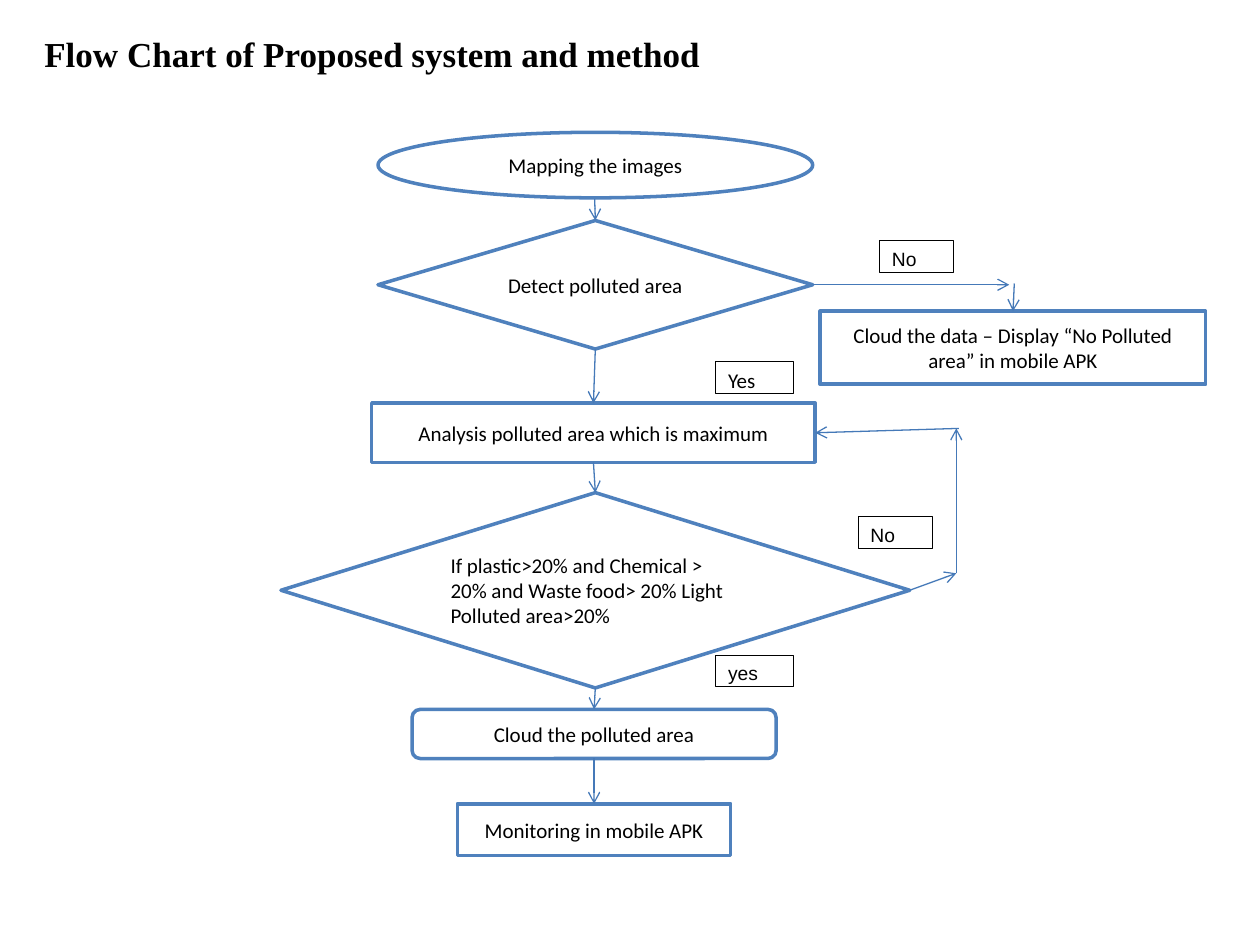
from lxml import etree
from pptx import Presentation
from pptx.dml.color import RGBColor
from pptx.enum import shapes, text
from pptx.oxml.ns import qn
from pptx.util import Inches, Pt

COLORS = {"paper": "FFFFFF", "ink": "000000", "border": "4F81BD", "arrow": "4579B8"}
KIND = shapes.MSO_SHAPE
TOP, LEFT, BOTTOM, RIGHT = range(4)

TITLE = "Flow Chart of Proposed system and method"

# name: (shape kind, (left, top, width, height), wording)
STEPS = {
    "mapping": (KIND.OVAL, (3, 1.05, 3.45, 0.52), "Mapping the images"),
    "detect": (KIND.FLOWCHART_DECISION, (3, 1.75, 3.45, 1.02), "Detect polluted area"),
    "analysis": (KIND.RECTANGLE, (2.95, 3.2, 3.52, 0.47),
                 "Analysis polluted area which is maximum"),
    "no_pollution": (KIND.RECTANGLE, (6.51, 2.47, 3.06, 0.58),
                     "Cloud the data – Display “No Polluted area” in mobile APK"),
    "condition": (KIND.DIAMOND, (2.23, 3.91, 4.99, 1.55),
                  "If plastic>20% and Chemical > 20% and Waste food> 20% Light Polluted area>20%"),
    "cloud": (KIND.ROUNDED_RECTANGLE, (3.27, 5.63, 2.89, 0.39), "Cloud the polluted area"),
    "monitoring": (KIND.RECTANGLE, (3.63, 6.38, 2.17, 0.41), "Monitoring in mobile APK"),
}

# (box, wording, font, size)
LABELS = [
    ((5.68, 2.87, 0.62, 0.25), "Yes", "Calibri", 12),
    ((6.98, 1.91, 0.59, 0.25), "No", "Arial", 11),
    ((6.81, 4.1, 0.59, 0.25), "No", "Arial", 11),
    ((5.68, 5.2, 0.62, 0.25), "yes", "Arial", 11),
]

# Each end is a point (x, y) or a joint (step name, side)
ARROWS = [
    ((4.72, 1.58), ("detect", TOP)),
    (("detect", BOTTOM), ("analysis", TOP)),
    (("analysis", BOTTOM), ("condition", TOP)),
    (("condition", BOTTOM), ("cloud", TOP)),
    (("cloud", BOTTOM), ("monitoring", TOP)),
    (("detect", RIGHT), (8.01, 2.26)),
    ((8.05, 2.25), ("no_pollution", TOP)),
    (("condition", RIGHT), (7.59, 4.55)),
    ((7.59, 4.55), (7.59, 3.4)),
    ((7.61, 3.4), ("analysis", RIGHT)),
]


def color(name):
    return RGBColor.from_string(COLORS[name])


def write(shape, wording, font, size, align, anchor, wrap=True, bold=False):
    frame = shape.text_frame
    frame.word_wrap = wrap
    frame.vertical_anchor = anchor
    paragraph = frame.paragraphs[0]
    paragraph.alignment = align
    run = paragraph.add_run()
    run.text = wording
    run.font.name, run.font.size, run.font.bold = font, Pt(size), bold
    run.font.color.rgb = color("ink")


def add_box(slide, kind, box, line_color, line_width):
    shape = slide.shapes.add_shape(kind, *map(Inches, box))
    shape.shadow.inherit = False
    shape.fill.solid()
    shape.fill.fore_color.rgb = color("paper")
    shape.line.color.rgb = color(line_color)
    shape.line.width = Pt(line_width)
    return shape


def add_arrow(slide, steps, start, end):
    points = [(0, 0) if isinstance(place[0], str) else place for place in (start, end)]
    connector = slide.shapes.add_connector(
        shapes.MSO_CONNECTOR.STRAIGHT, *(Inches(n) for point in points for n in point))
    for place, join in ((start, connector.begin_connect), (end, connector.end_connect)):
        if isinstance(place[0], str):
            join(steps[place[0]], place[1])
    connector.line.color.rgb = color("arrow")
    connector.line.width = Pt(0.75)
    # Open arrowhead at the end, no shadow
    line = connector.line._get_or_add_ln()
    etree.SubElement(line, qn("a:tailEnd"), type="arrow")
    etree.SubElement(line.getparent(), qn("a:effectLst"))


def main():
    presentation = Presentation()
    presentation.slide_width, presentation.slide_height = Inches(10), Inches(7.5)
    slide = presentation.slides.add_slide(presentation.slide_layouts[5])
    align, anchor = text.PP_ALIGN, text.MSO_ANCHOR

    # Title
    title = slide.shapes.title
    title.left, title.top, title.width, title.height = map(Inches, (0.12, 0.21, 5.67, 0.74))
    write(title, TITLE, "Times New Roman", 20, align.CENTER, anchor.TOP, bold=True)
    title.text_frame.auto_size = text.MSO_AUTO_SIZE.NONE

    # Flow steps
    steps = {}
    for name, (kind, box, wording) in STEPS.items():
        steps[name] = add_box(slide, kind, box, "border", 2)
        side = align.LEFT if name == "condition" else align.CENTER
        write(steps[name], wording, "Calibri", 12, side, anchor.MIDDLE)

    # Branch labels
    for box, wording, font, size in LABELS:
        label = add_box(slide, KIND.RECTANGLE, box, "ink", 0.5)
        write(label, wording, font, size, align.LEFT, anchor.TOP, wrap=False)

    # Arrows
    for start, end in ARROWS:
        add_arrow(slide, steps, start, end)

    presentation.save("out.pptx")


if __name__ == "__main__":
    main()
